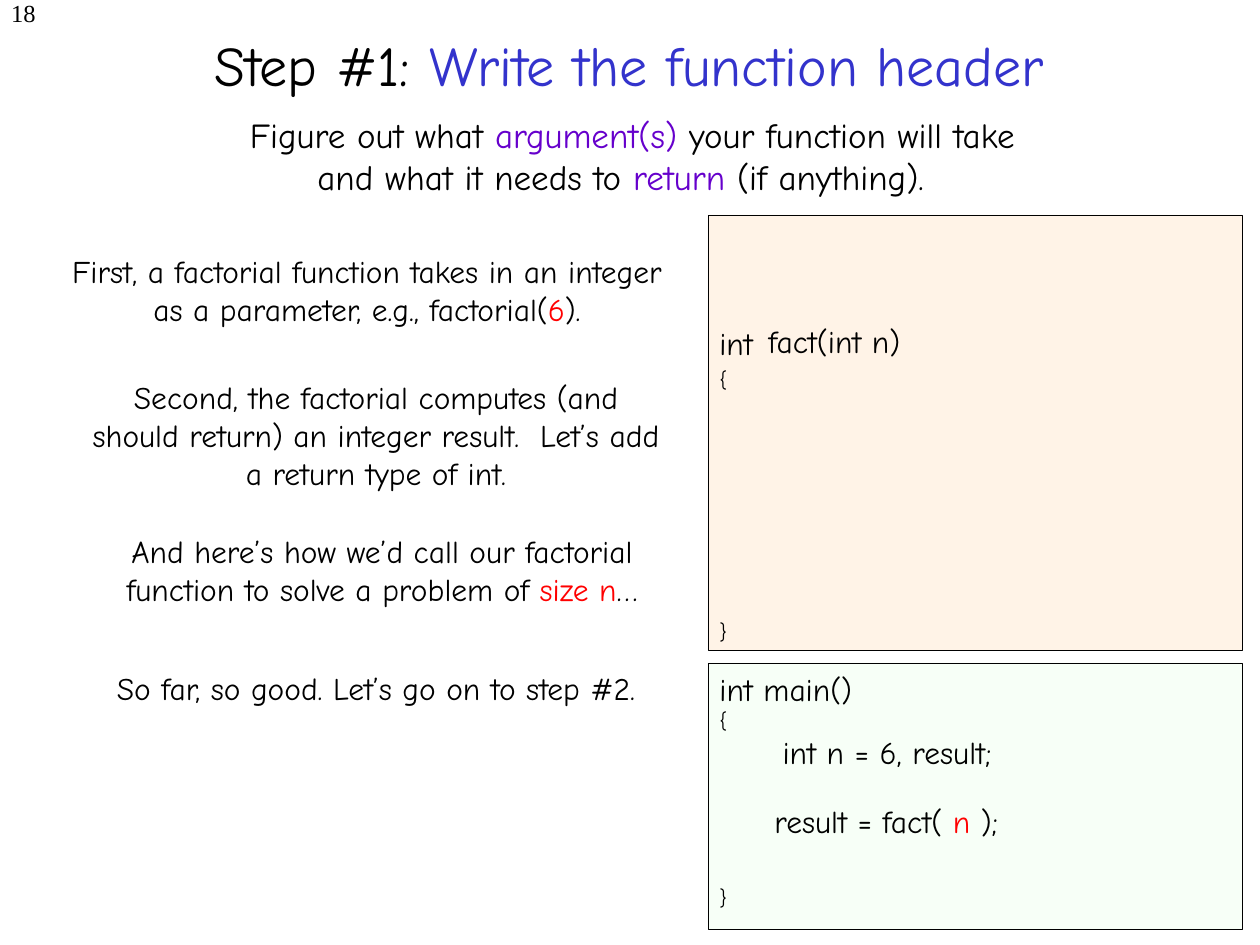
from pptx import Presentation
from pptx.dml.color import RGBColor
from pptx.enum.shapes import MSO_SHAPE as SHAPE
from pptx.enum.text import MSO_ANCHOR as ANCHOR, MSO_AUTO_SIZE as AUTO, PP_ALIGN as ALIGN
from pptx.util import Emu, Pt

SCALE = 914400 / 126  # EMU per px
BLACK, BLUE, PURPLE, RED = "000000", "3333CC", "6600CC", "FF0000"
COMIC, TIMES = "Comic Neue", "Times New Roman"


def px(n):
    return Emu(round(n * SCALE))


def rgb(value):
    return RGBColor.from_string(value)


def add_panel(slide, box, fill):
    sp = slide.shapes.add_shape(SHAPE.RECTANGLE, *map(px, box))
    sp.shadow.inherit = False
    sp.fill.solid()
    sp.fill.fore_color.rgb = rgb(fill)
    sp.line.color.rgb = rgb(BLACK)
    sp.line.width = Pt(0.25)


def add_runs(p, runs, size, font=COMIC):
    for text, color in runs:
        r = p.add_run()
        r.text = text
        for name, value in {"size": Pt(size), "name": font}.items():
            setattr(r.font, name, value)
        r.font.color.rgb = rgb(color)


def add_frame(slide, box, auto_size=AUTO.SHAPE_TO_FIT_TEXT, anchor=ANCHOR.TOP):
    tf = slide.shapes.add_textbox(*map(px, box)).text_frame
    settings = {"word_wrap": True, "auto_size": auto_size, "vertical_anchor": anchor}
    for name, value in settings.items():
        setattr(tf, name, value)
    return tf


def add_text(slide, box, runs, size=18, align=ALIGN.CENTER, font=COMIC, **frame):
    p = add_frame(slide, box, **frame).paragraphs[0]
    p.alignment = align
    add_runs(p, runs, size, font)


def add_code(slide, box, lines):
    """Each line is (text, size, space before in points)."""
    tf = add_frame(slide, box)
    for i, (text, size, before) in enumerate(lines):
        p = tf.add_paragraph() if i else tf.paragraphs[0]
        if before:
            p.space_before = Pt(before)
        add_runs(p, [(text, BLACK)], size)


def main():
    prs = Presentation()
    prs.slide_width, prs.slide_height = px(1260), px(945)
    s = prs.slides.add_slide(prs.slide_layouts[6])

    # Code panels
    add_panel(s, (708, 215, 534, 435), "FFF3E7")
    add_panel(s, (708, 663, 534, 266), "F7FFF7")

    # Page number, title and introduction
    add_text(s, (-214, -8, 262, 63), [("18", BLACK)], 14, ALIGN.RIGHT, TIMES,
             auto_size=AUTO.NONE)
    add_text(s, (94, -15, 1071, 158),
             [("Step #1: ", BLACK), ("Write the function header", BLUE)], 32,
             auto_size=AUTO.NONE, anchor=ANCHOR.MIDDLE)
    add_text(s, (228, 107, 809, 97),
             [("Figure out what ", BLACK), ("argument(s)", PURPLE),
              (" your function will take and what it needs to ", BLACK),
              ("return ", PURPLE), ("(if anything).  ", BLACK)], 20)

    # Explanations
    explanations = [
        ((52, 246, 630, 88),
         [("First, a factorial function takes in an integer as a parameter, "
           "e.g., factorial(", BLACK), ("6", RED), (").", BLACK)]),
        ((76, 372, 600, 126),
         [("Second, the factorial computes (and should return) an integer "
           "result.  Let’s add a return type of int.", BLACK)]),
        ((82, 526, 600, 89),
         [("And here’s how we’d call our factorial function to solve a "
           "problem of ", BLACK), ("size n", RED), ("…", BLACK)]),
        ((76, 663, 600, 50),
         [("So far, so good. Let’s go on to step #2.", BLACK)]),
    ]
    for box, runs in explanations:
        add_text(s, box, runs)

    # Factorial function
    add_text(s, (707, 318, 314, 50), [("int", BLACK)], align=ALIGN.LEFT)
    add_text(s, (756, 316, 314, 50), [("fact(int n)", BLACK)], align=ALIGN.LEFT)
    add_code(s, (707, 360, 314, 290), [("{", 12, 0), ("}", 12, 129.6)])

    # Main function
    add_code(s, (707, 664, 533, 252),
             [("int main()", 18, 0), ("{", 12, 0),
              ("      int n = 6, result;", 18, 0), ("}", 12, 64.8)])
    add_text(s, (762, 796, 542, 50),
             [("result = fact(", BLACK), (" n", RED), (" );", BLACK)],
             align=ALIGN.LEFT)

    prs.save("out.pptx")


if __name__ == "__main__":
    main()
